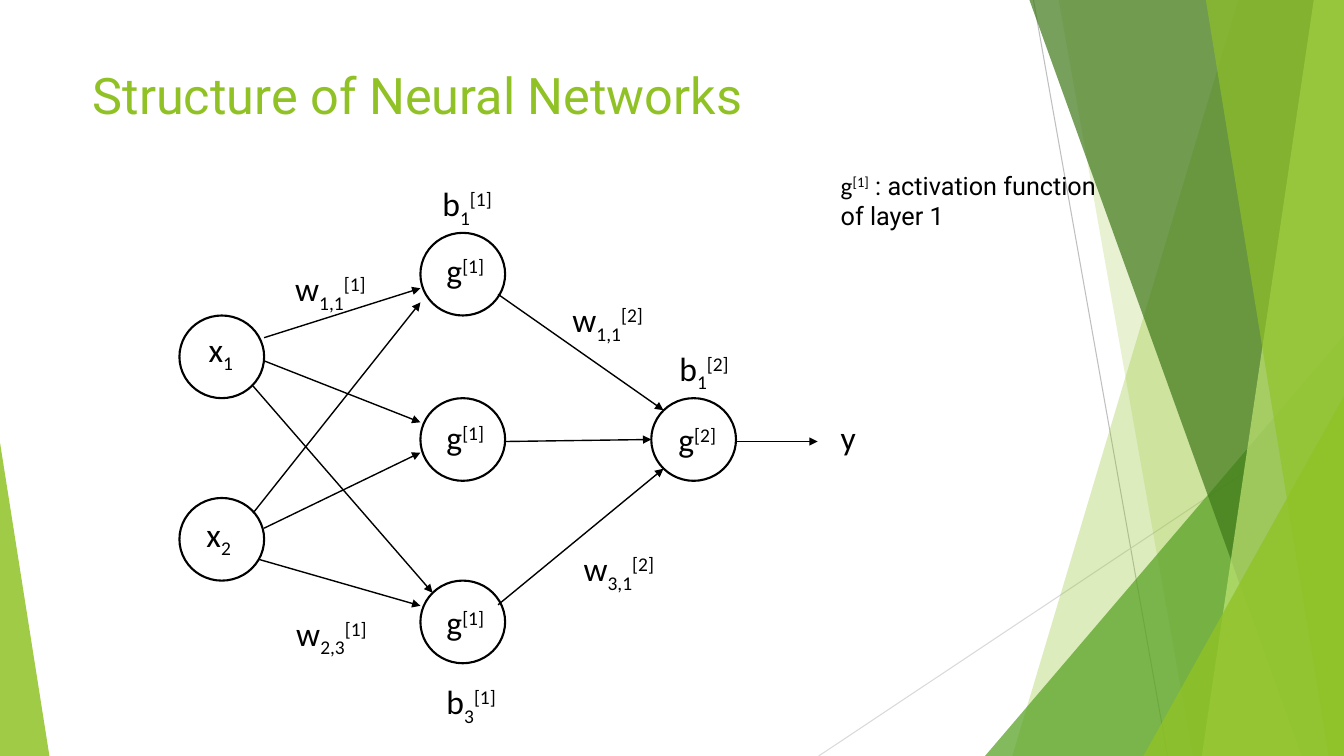
from lxml.etree import SubElement
from pptx import Presentation
from pptx.dml.color import RGBColor
from pptx.enum.shapes import MSO_CONNECTOR, MSO_SHAPE
from pptx.enum.text import MSO_ANCHOR, MSO_AUTO_SIZE, PP_ALIGN
from pptx.oxml.ns import qn
from pptx.util import Inches, Pt

WIDTH, HEIGHT = 13.33, 7.5
NODE_SIZE = 0.84, 0.82
SUB, SUPER = -25, 30


def color(target, hex_code):
    """Give a fill, line fill or font colour its RGB value."""
    if hasattr(target, "solid"):
        target.solid()
        target = target.fore_color
    target.rgb = RGBColor.from_string(hex_code)


def add_run(paragraph, text, size, font="Calibri", hex_code="000000", baseline=0):
    """Append one formatted run, optionally raised or lowered."""
    run = paragraph.add_run()
    run.text = text
    run.font.size, run.font.name = Pt(size), font
    color(run.font.color, hex_code)
    if baseline:
        run._r.get_or_add_rPr().set("baseline", str(baseline * 1000))


def add_line(slide, start, end, hex_code, weight, arrow=False):
    """Draw a straight line, with an arrowhead at its end if asked."""
    line = slide.shapes.add_connector(
        MSO_CONNECTOR.STRAIGHT, *(Inches(v) for v in (*start, *end)))
    color(line.line.fill, hex_code)
    line.line.width = Pt(weight)
    if arrow:
        SubElement(line.line._get_or_add_ln(), qn("a:tailEnd"), type="triangle")
    SubElement(line._element.spPr, qn("a:effectLst"))


def add_text(slide, left, top, width, height, wrap=True):
    """Add a text box and return its first paragraph."""
    frame = slide.shapes.add_textbox(
        *(Inches(v) for v in (left, top, width, height))).text_frame
    frame.word_wrap = wrap
    return frame.paragraphs[0]


def tint(shape, hex_code, opacity):
    """Fill a borderless shape with a translucent colour."""
    shape.shadow.inherit = False
    color(shape.fill, hex_code)
    shape.line.fill.background()
    SubElement(shape.fill._xPr.find(".//" + qn("a:srgbClr")),
               qn("a:alpha"), val=str(opacity * 1000))


def add_facet(slide, box, top_x, bottom_x, hex_code, opacity):
    """Add a slanted panel that reaches the right edge of the box."""
    left, top, width, height = box
    right, bottom = left + width, top + height
    corners = [(Inches(x), Inches(y)) for x, y in (
        (left + top_x, top), (right, top), (right, bottom), (left + bottom_x, bottom))]
    builder = slide.shapes.build_freeform(*corners[0], scale=1.0)
    builder.add_line_segments(corners[1:], close=True)
    tint(builder.convert_to_shape(), hex_code, opacity)


def add_wedge(slide, box, width, height, apex, hex_code, opacity):
    """Add a right triangle in the lower corner on its apex side."""
    left = box[0] + apex * (box[2] - width)
    top = box[1] + box[3] - height
    wedge = slide.shapes.add_shape(
        MSO_SHAPE.ISOSCELES_TRIANGLE, *(Inches(v) for v in (left, top, width, height)))
    wedge.adjustments[0] = apex
    tint(wedge, hex_code, opacity)


def add_backdrop(slide, box):
    """Draw the green facets along the right edge and the left corner."""
    left, top, _, height = box
    for start, end, gray in (((2.13, 0), (3.46, height), "BFBFBF"),
                             ((5.21, 4.03), (0, height), "D9D9D9")):
        add_line(slide, *((left + x, top + y) for x, y in (start, end)), gray, 0.75)
    add_facet(slide, box, 4.16, 1.92, "90C226", 30)
    add_facet(slide, box, 2.38, 3.71, "90C226", 20)
    add_wedge(slide, box, 3.56, 4.17, 1, "54A021", 72)
    add_facet(slide, box, 2.09, 4.79, "3F7819", 70)
    add_facet(slide, box, 4.91, 3.8, "C0E474", 70)
    add_facet(slide, box, 3.84, 5.06, "90C226", 65)
    add_wedge(slide, box, 1.99, 3.57, 1, "90C226", 80)
    add_wedge(slide, (0, top, WIDTH, height), 0.49, 3.11, 0, "90C226", 85)


def add_title(slide, box):
    """Place and format the slide title."""
    title = slide.shapes.title
    title.left, title.top, title.width, title.height = (Inches(v) for v in box)
    frame = title.text_frame
    frame.auto_size, frame.word_wrap = MSO_AUTO_SIZE.NONE, True
    frame.vertical_anchor = MSO_ANCHOR.TOP
    heading = frame.paragraphs[0]
    heading.alignment = PP_ALIGN.LEFT
    add_run(heading, "Structure of Neural Networks", 36, "Roboto", "90C226")


def add_node(slide, left, top):
    """Draw one neuron circle."""
    node = slide.shapes.add_shape(
        MSO_SHAPE.OVAL, *(Inches(v) for v in (left, top, *NODE_SIZE)))
    node.shadow.inherit = False
    color(node.fill, "FFFFFF")
    color(node.line.fill, "000000")
    node.line.width = Pt(1.5)


def add_symbol(slide, left, top, letter, sub, layer):
    """Write a variable with its subscript and layer superscript."""
    symbol = add_text(slide, left, top, 1.13, 0.5, wrap=False)
    add_run(symbol, letter, 24)
    if sub:
        add_run(symbol, sub, 24, baseline=SUB)
    if layer:
        add_run(symbol, f"[{layer}]", 24, baseline=SUPER)


def add_network(slide, box):
    """Draw the nodes, weighted edges and symbols of the network."""
    left, top = box[:2]
    layers = {0: (1.36, 3.17), 2.39: (0.54, 2.18, 3.99), 4.68: (2.18,)}
    for x, rows in layers.items():
        for y in rows:
            add_node(slide, left + x, top + y)

    edges = (
        (0.84, 1.58, 2.39, 1.09), (0.84, 1.81, 2.39, 2.42), (0.73, 2.06, 2.51, 4.11),
        (0.73, 3.32, 2.39, 1.23), (0.84, 3.47, 2.39, 2.72), (0.79, 3.78, 2.39, 4.24),
        (3.16, 1.15, 4.8, 2.3), (3.16, 4.23, 4.8, 2.88), (3.24, 2.61, 4.68, 2.59),
        (5.52, 2.61, 6.33, 2.61))
    for x1, y1, x2, y2 in edges:
        add_line(slide, (left + x1, top + y1), (left + x2, top + y2),
                 "000000", 1, arrow=True)

    symbols = (
        (0.19, 1.44, "x", "1", ""), (0.17, 3.28, "x", "2", ""),
        (1.05, 0.84, "w", "1,1", 1), (1.06, 4.26, "w", "2,3", 1),
        (3.8, 1.15, "w", "1,1", 2), (3.91, 3.62, "w", "3,1", 2),
        (2.51, 0, "b", "1", 1), (2.55, 4.94, "b", "3", 1), (4.86, 1.63, "b", "1", 2),
        (2.55, 0.66, "g", "", 1), (2.55, 2.32, "g", "", 1), (2.55, 4.15, "g", "", 1),
        (4.85, 2.34, "g", "", 2), (6.46, 2.32, "y", "", ""))
    for x, y, letter, sub, layer in symbols:
        add_symbol(slide, left + x, top + y, letter, sub, layer)


def add_legend(slide, box):
    """Explain the activation symbol."""
    legend = add_text(slide, *box)
    add_run(legend, "g", 18)
    add_run(legend, "[1]", 18, baseline=SUPER)
    add_run(legend, " : activation function of layer 1", 18, "Roboto")


def main():
    """Build and save the slide."""
    deck = Presentation()
    deck.slide_width, deck.slide_height = Inches(WIDTH), Inches(HEIGHT)
    slide = deck.slides.add_slide(deck.slide_layouts[5])
    add_backdrop(slide, (8.12, 0, 5.21, HEIGHT))
    add_title(slide, (0.82, 0.59, 9.4, 1.44))
    add_network(slide, (1.78, 1.77, 6.81, 5.44))
    add_legend(slide, (8.24, 1.64, 2.87, 0.71))
    deck.save("out.pptx")


main()
